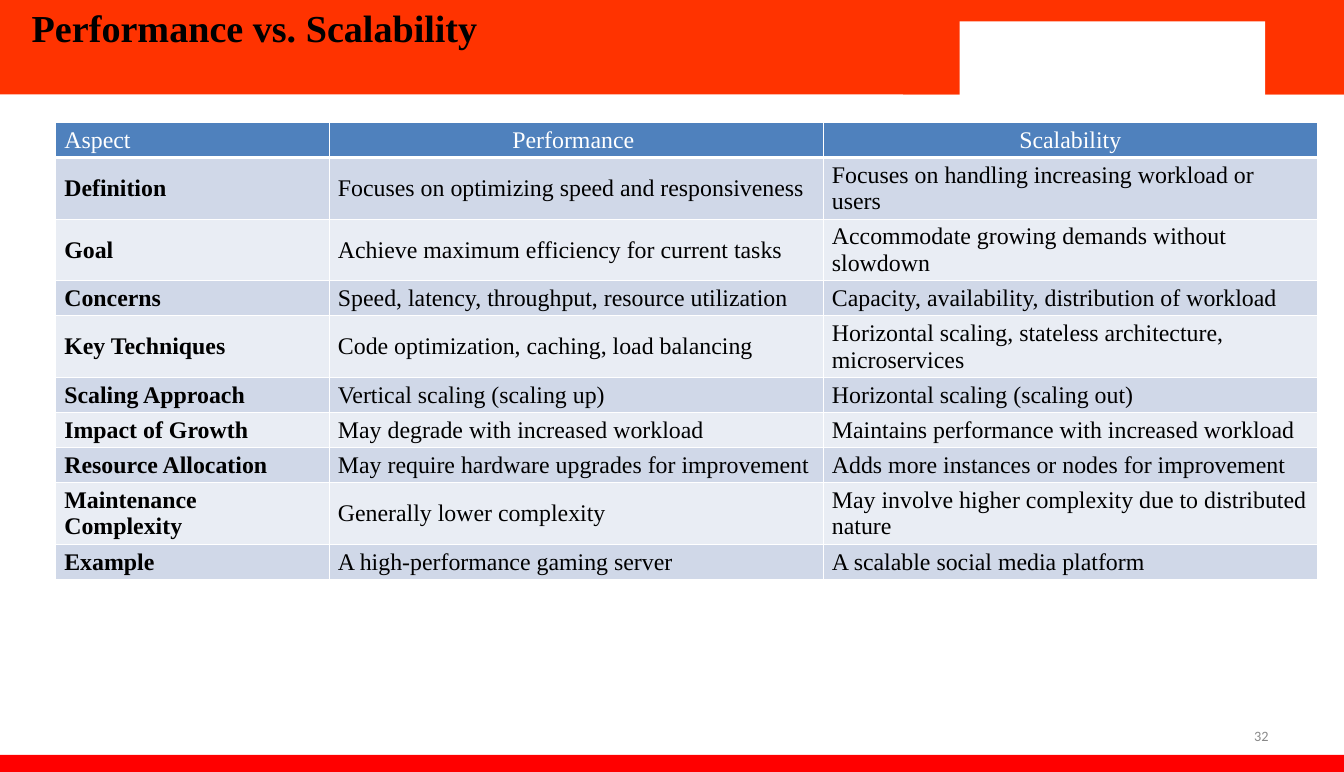
from dataclasses import dataclass

from lxml.etree import SubElement
from pptx import Presentation
from pptx.dml.color import RGBColor
from pptx.enum.shapes import MSO_SHAPE
from pptx.enum.text import MSO_ANCHOR, MSO_AUTO_SIZE, PP_ALIGN
from pptx.oxml.ns import qn
from pptx.util import Inches, Pt


@dataclass(frozen=True)
class Theme:
    banner: str = "FF3300"
    footer: str = "FF0000"
    white: str = "FFFFFF"
    black: str = "000000"
    muted: str = "898989"
    header: str = "4F81BD"
    bands: tuple = ("D0D8E8", "E9EDF4")
    serif: str = "Times New Roman"
    sans: str = "Calibri"
    title_size: int = 32
    table_size: int = 20
    number_size: int = 12


THEME = Theme()
WIDTH, HEIGHT = 15.67, 9
BANNER_HEIGHT = 1.1
COLUMNS = (3.19, 5.76, 5.76)
ROW_HEIGHT = 0.41
ROWS = (
    ("Aspect", "Performance ", "Scalability"),
    ("Definition", "Focuses on optimizing speed and responsiveness",
     "Focuses on handling increasing workload or users"),
    ("Goal", "Achieve maximum efficiency for current tasks",
     "Accommodate growing demands without slowdown"),
    ("Concerns", "Speed, latency, throughput, resource utilization",
     "Capacity, availability, distribution of workload"),
    ("Key Techniques", "Code optimization, caching, load balancing",
     "Horizontal scaling, stateless architecture, microservices"),
    ("Scaling Approach", "Vertical scaling (scaling up)",
     "Horizontal scaling (scaling out)"),
    ("Impact of Growth", "May degrade with increased workload",
     "Maintains performance with increased workload"),
    ("Resource Allocation", "May require hardware upgrades for improvement",
     "Adds more instances or nodes for improvement"),
    ("Maintenance Complexity", "Generally lower complexity",
     "May involve higher complexity due to distributed nature"),
    ("Example", "A high-performance gaming server",
     "A scalable social media platform"),
)


def write(frame, text, *, size, color, font=THEME.serif, bold=False,
          align=PP_ALIGN.LEFT):
    paragraph = frame.paragraphs[0]
    paragraph.alignment = align
    span = paragraph.add_run()
    span.text = text
    span.font.name = font
    span.font.size = Pt(size)
    span.font.bold = bold
    span.font.color.rgb = RGBColor.from_string(color)


def add_bar(page, left, top, width, height, color):
    bar = page.shapes.add_shape(
        MSO_SHAPE.RECTANGLE, *map(Inches, (left, top, width, height)))
    bar.shadow.inherit = False
    bar.fill.solid()
    bar.fill.fore_color.rgb = RGBColor.from_string(color)
    bar.line.fill.background()


def set_title(page, text):
    """Fill the title placeholder and bring it in front of the banner."""
    title = page.shapes.title
    title.left, title.top = Inches(0.27), 0
    title.width, title.height = Inches(6.55), Inches(0.88)
    frame = title.text_frame
    frame.word_wrap = True
    frame.auto_size = MSO_AUTO_SIZE.NONE
    frame.vertical_anchor = MSO_ANCHOR.TOP
    write(frame, text, size=THEME.title_size, color=THEME.black, bold=True)
    page.shapes._spTree.append(title._element)


def add_page_number(page, number):
    box = page.shapes.add_textbox(*map(Inches, (11.23, 8.34, 3.66, 0.48)))
    frame = box.text_frame
    frame.word_wrap = True
    frame.vertical_anchor = MSO_ANCHOR.MIDDLE
    write(frame, number, size=THEME.number_size, color=THEME.muted,
          font=THEME.sans, align=PP_ALIGN.RIGHT)


def set_borders(cell, bottom=1):
    properties = cell._tc.get_or_add_tcPr()
    for side, points in (("L", 1), ("R", 1), ("T", 1), ("B", bottom)):
        line = SubElement(properties, qn(f"a:ln{side}"), w=str(Pt(points)))
        fill = SubElement(line, qn("a:solidFill"))
        SubElement(fill, qn("a:srgbClr"), val=THEME.white)


def format_cell(cell, text, row, column):
    is_header = row == 0
    set_borders(cell, bottom=3 if is_header else 1)
    fill = THEME.header if is_header else THEME.bands[(row - 1) % 2]
    cell.fill.solid()
    cell.fill.fore_color.rgb = RGBColor.from_string(fill)
    cell.vertical_anchor = MSO_ANCHOR.MIDDLE
    write(cell.text_frame, text, size=THEME.table_size,
          color=THEME.white if is_header else THEME.black,
          bold=column == 0 and not is_header,
          align=PP_ALIGN.CENTER if is_header and column else PP_ALIGN.LEFT)


def add_comparison(page):
    table = page.shapes.add_table(
        len(ROWS), len(COLUMNS), Inches(0.65), Inches(1.43),
        Inches(sum(COLUMNS)), Inches(ROW_HEIGHT * len(ROWS))).table
    for column, width in zip(table.columns, COLUMNS):
        column.width = Inches(width)
    for row, texts in enumerate(ROWS):
        table.rows[row].height = Inches(ROW_HEIGHT)
        for column, text in enumerate(texts):
            format_cell(table.cell(row, column), text, row, column)


def main():
    deck = Presentation()
    deck.slide_width, deck.slide_height = Inches(WIDTH), Inches(HEIGHT)
    page = deck.slides.add_slide(deck.slide_layouts[5])
    add_bar(page, 0, 0, WIDTH, BANNER_HEIGHT, THEME.banner)
    add_bar(page, 0, 8.8, WIDTH, 0.26, THEME.footer)
    add_bar(page, 10.53, 0, WIDTH - 10.53, BANNER_HEIGHT, THEME.banner)
    add_bar(page, 11.19, 0.25, 3.56, 0.9, THEME.white)
    add_page_number(page, "32")
    set_title(page, "Performance vs. Scalability")
    add_comparison(page)
    deck.save("out.pptx")


if __name__ == "__main__":
    main()
